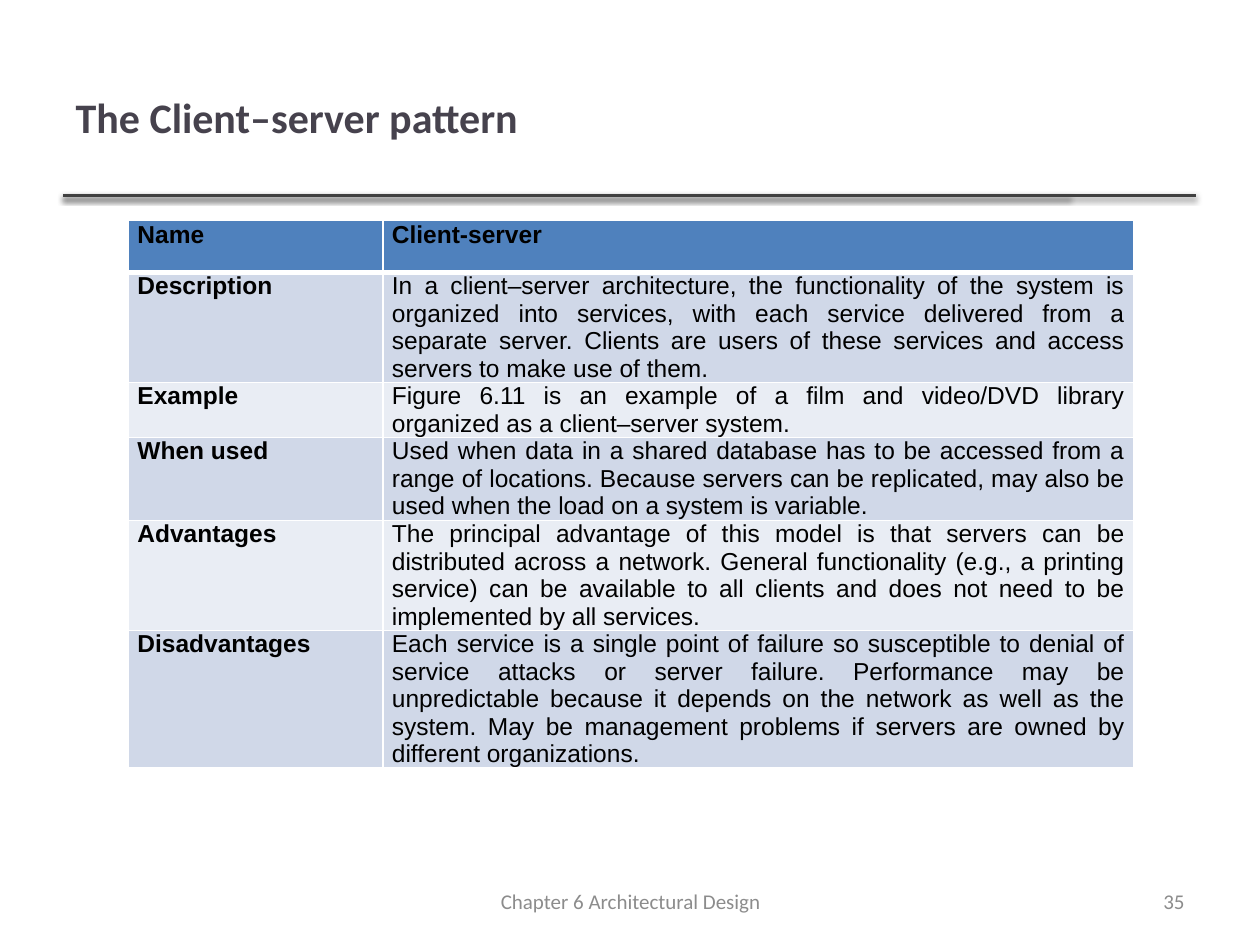
import lxml.etree
import pptx
import pptx.dml.color
import pptx.enum.shapes
import pptx.enum.text
import pptx.oxml
import pptx.oxml.ns
import pptx.util

Cm = pptx.util.Cm
Align = pptx.enum.text.PP_ALIGN
Anchor = pptx.enum.text.MSO_ANCHOR

COLORS = {
    "title": "46424D",
    "rule": "404040",
    "shadow": "000000",
    "header": "4F81BD",
    "band_dark": "D0D8E8",
    "band_light": "E9EDF4",
    "border": "FFFFFF",
    "cell_text": "000000",
    "footer": "8C8C8C",
}
TITLE_FONT = {"name": "Calibri", "size": pptx.util.Pt(24), "bold": True}
CELL_FONT = {"name": "Arial", "size": pptx.util.Pt(14)}
FOOTER_FONT = {"name": "Calibri", "size": pptx.util.Pt(12), "bold": False}
NAMESPACE = pptx.oxml.ns.nsdecls("a")

ROWS = [
    ("Name", "Client-server"),
    ("Description",
     "In a client–server architecture, the functionality of the system is organized into "
     "services, with each service delivered from a separate server. Clients are users of "
     "these services and access servers to make use of them."),
    ("Example",
     "Figure 6.11 is an example of a film and video/DVD library organized as a "
     "client–server system."),
    ("When used",
     "Used when data in a shared database has to be accessed from a range of locations. "
     "Because servers can be replicated, may also be used when the load on a system is "
     "variable."),
    ("Advantages",
     "The principal advantage of this model is that servers can be distributed across a "
     "network. General functionality (e.g., a printing service) can be available to all "
     "clients and does not need to be implemented by all services."),
    ("Disadvantages",
     "Each service is a single point of failure so susceptible to denial of service attacks "
     "or server failure. Performance may be unpredictable because it depends on the network "
     "as well as the system. May be management problems if servers are owned by different "
     "organizations."),
]


def write_text(frame, text, align, color, font):
    para = frame.paragraphs[0]
    para.alignment = align
    span = para.add_run()
    span.text = text
    for name, value in font.items():
        setattr(span.font, name, value)
    span.font.color.rgb = pptx.dml.color.RGBColor.from_string(COLORS[color])


def set_borders(cell, top, bottom):
    widths = {"lnL": 1, "lnR": 1, "lnT": top, "lnB": bottom}
    properties = cell._tc.get_or_add_tcPr()
    for position, (side, width) in enumerate(widths.items()):
        properties.insert(position, pptx.oxml.parse_xml(
            f'<a:{side} {NAMESPACE} w="{pptx.util.Pt(width)}"><a:solidFill>'
            f'<a:srgbClr val="{COLORS["border"]}"/></a:solidFill></a:{side}>'))


deck = pptx.Presentation()
deck.slide_width, deck.slide_height = Cm(25.4), Cm(19.05)
page = deck.slides.add_slide(deck.slide_layouts[5])

# Two overlapping rules under the title, each with a soft shadow
for right in (21.56, 24.1):
    rule = page.shapes.add_connector(
        pptx.enum.shapes.MSO_CONNECTOR.STRAIGHT, Cm(1.27), Cm(3.94), Cm(right), Cm(3.94))
    rule.line.width = pptx.util.Pt(2)
    rule.line.color.rgb = pptx.dml.color.RGBColor.from_string(COLORS["rule"])
    rule._element.spPr.append(pptx.oxml.parse_xml(
        f'<a:effectLst {NAMESPACE}><a:outerShdw blurRad="40000" dist="20000" dir="5400000" '
        f'rotWithShape="0"><a:srgbClr val="{COLORS["shadow"]}"><a:alpha val="38000"/>'
        f'</a:srgbClr></a:outerShdw></a:effectLst>'))

# Title
title = page.shapes.title
title.left, title.top, title.width, title.height = Cm(1.27), Cm(0.76), Cm(20.27), Cm(3.18)
title.text_frame.vertical_anchor = Anchor.MIDDLE
write_text(title.text_frame, "The Client–server pattern", Align.LEFT, "title", TITLE_FONT)

# Pattern table: rows grow with their text
row_height = Cm(1.04)
table = page.shapes.add_table(
    len(ROWS), 2, Cm(2.59), Cm(4.45), Cm(20.27), row_height * len(ROWS)).table
for column, width in zip(table.columns, (5.13, 15.14)):
    column.width = Cm(width)
cell_format = {"margin_left": Cm(0.18), "margin_right": Cm(0.18),
               "margin_top": 0, "margin_bottom": 0, "vertical_anchor": Anchor.TOP}
for row, texts in enumerate(ROWS):
    table.rows[row].height = row_height
    fill = "header" if row == 0 else "band_dark" if row % 2 else "band_light"
    for column, text in enumerate(texts):
        cell = table.cell(row, column)
        for name, value in cell_format.items():
            setattr(cell, name, value)
        cell.fill.solid()
        cell.fill.fore_color.rgb = pptx.dml.color.RGBColor.from_string(COLORS[fill])
        set_borders(cell, top=3 if row == 1 else 1, bottom=3 if row == 0 else 1)
        write_text(cell.text_frame, text, Align.JUSTIFY, "cell_text",
                   {**CELL_FONT, "bold": row == 0 or column == 0})

# Footer and page number
for left, width, text, align in (
        (8.69, 8.05, "Chapter 6 Architectural Design", Align.CENTER),
        (18.21, 5.92, "35", Align.RIGHT)):
    box = page.shapes.add_textbox(Cm(left), Cm(17.65), Cm(width), Cm(1.02))
    box.text_frame.word_wrap = True
    box.text_frame.vertical_anchor = Anchor.MIDDLE
    write_text(box.text_frame, text, align, "footer", FOOTER_FONT)

deck.save("out.pptx")
